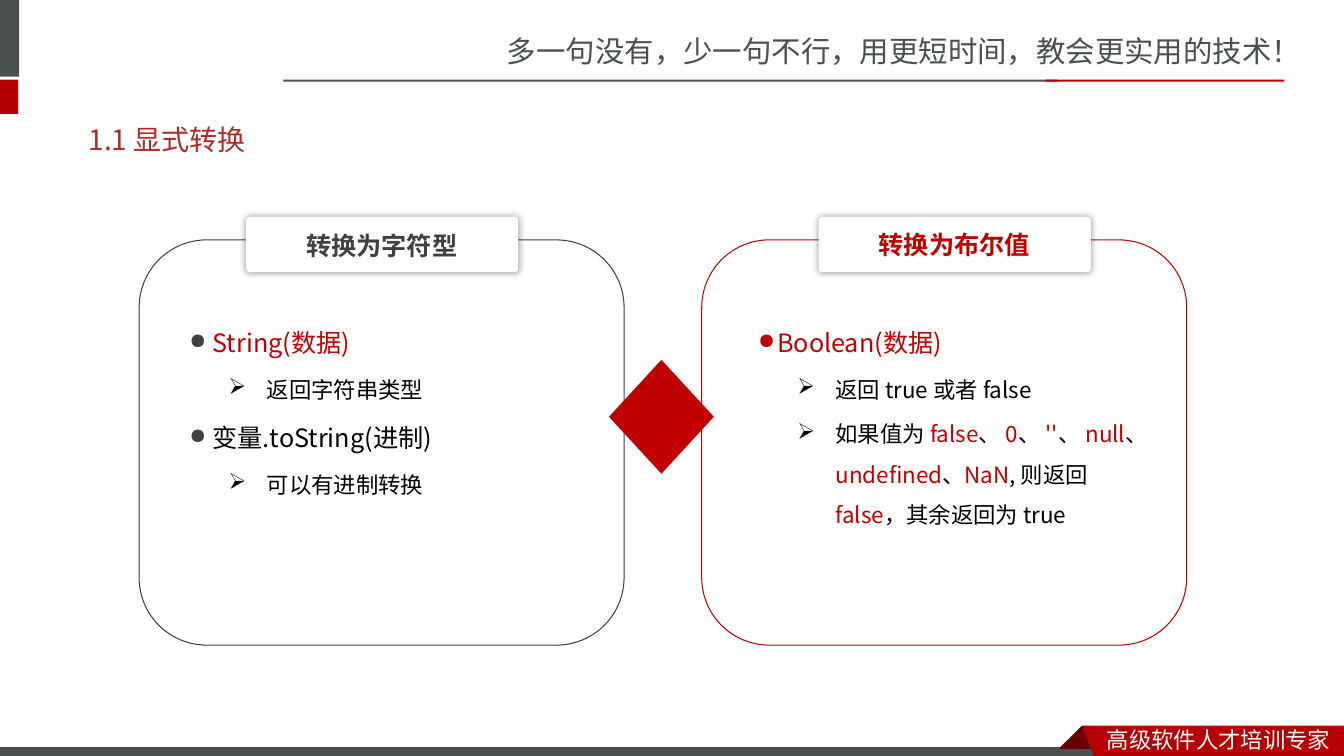
from lxml import etree
from pptx import Presentation
from pptx.dml.color import RGBColor
from pptx.enum.shapes import MSO_SHAPE
from pptx.enum.text import MSO_ANCHOR, PP_ALIGN
from pptx.oxml.ns import qn
from pptx.util import Inches, Pt

COLORS = {"slate": "49504F", "crimson": "B60004", "maroon": "680000", "white": "FFFFFF",
          "title": "AD2A26", "red": "C00000", "gray": "404040", "black": "000000"}
HEAD_FONT, BODY_FONT = "Noto Sans CJK SC", "Noto Sans CJK JP"

prs = Presentation()
prs.slide_width, prs.slide_height = Inches(13.33), Inches(7.5)
slide = prs.slides.add_slide(prs.slide_layouts[6])


def paint(shape, fill=None, line=None):
    shape.shadow.inherit = False
    if fill:
        shape.fill.solid()
        shape.fill.fore_color.rgb = RGBColor.from_string(COLORS[fill])
    else:
        shape.fill.background()
    if line:
        shape.line.color.rgb = RGBColor.from_string(COLORS[line])
        shape.line.width = Pt(0.75)
    else:
        shape.line.fill.background()


def style(font, size, color, name=BODY_FONT, bold=False):
    font.size, font.name, font.bold = Pt(size), name, bold
    font.color.rgb = RGBColor.from_string(COLORS[color])
    # East Asian glyphs take their own typeface entry
    latin = font._element.find(qn("a:latin"))
    east_asian = etree.Element(qn("a:ea"), typeface=name)
    latin.addnext(east_asian)


# Header and footer bars
for left, top, width, height, fill, line in [
    (-0.06, 0, 0.25, 0.76, "slate", None),
    (-0.06, 0.79, 0.24, 0.34, "crimson", None),
    (2.81, 0.79, 7.68, 0.02, "slate", None),
    (10.37, 0.79, 2.37, 0.02, "crimson", None),
    (-0.01, 7.41, 11, 0.12, "slate", "white"),
]:
    bar = slide.shapes.add_shape(MSO_SHAPE.RECTANGLE, Inches(left), Inches(top),
                                 Inches(width), Inches(height))
    paint(bar, fill, line)

# Footer ribbon: folded corner, then banner
for outline, fill in [
    ([(10.73, 7.2), (10.95, 7.42), (10.94, 7.43), (10.52, 7.43), (10.51, 7.42)], "maroon"),
    ([(10.73, 7.2), (13.33, 7.2), (13.33, 7.54), (10.86, 7.53)], "crimson"),
]:
    points = [(Inches(x), Inches(y)) for x, y in outline]
    builder = slide.shapes.build_freeform(*points[0])
    builder.add_line_segments(points[1:], close=True)
    paint(builder.convert_to_shape(), fill)

# Panels with their heading tabs
panels = [(1.38, "gray"), (6.96, "red")]
for left, color in panels:
    panel = slide.shapes.add_shape(MSO_SHAPE.ROUNDED_RECTANGLE, Inches(left), Inches(2.38),
                                   Inches(4.81), Inches(4.02))
    paint(panel, line=color)
for left in (2.44, 8.12):
    tab = slide.shapes.add_shape(MSO_SHAPE.ROUNDED_RECTANGLE, Inches(left), Inches(2.15),
                                 Inches(2.7), Inches(0.55))
    tab.adjustments[0] = 0.07
    paint(tab, "white")
    effects = tab._element.spPr.find(qn("a:effectLst"))
    shadow = etree.SubElement(effects, qn("a:outerShdw"), blurRad=str(Pt(5)), dist="0",
                              dir="0", algn="ctr", rotWithShape="0")
    shadow_color = etree.SubElement(shadow, qn("a:srgbClr"), val=COLORS["black"])
    etree.SubElement(shadow_color, qn("a:alpha"), val="40000")
diamond = slide.shapes.add_shape(MSO_SHAPE.DIAMOND, Inches(6.04), Inches(3.57),
                                 Inches(1.04), Inches(1.13))
paint(diamond, "red")

# Single-line texts: tagline, footer, title, panel headings
for text, left, top, width, height, size, color, font, heading in [
    ("多一句没有，少一句不行，用更短时间，教会更实用的技术！",
     4.93, 0.28, 8.41, 0.47, 21, "slate", HEAD_FONT, False),
    ("高级软件人才培训专家", 10.88, 7.15, 2.45, 0.37, 16, "white", HEAD_FONT, False),
    ("1.1 显式转换", 0.78, 1.1, 11.72, 0.57, 20, "title", BODY_FONT, False),
    ("转换为字符型", 2.54, 2.22, 2.49, 0.43, 18, "gray", BODY_FONT, True),
    ("转换为布尔值", 8.22, 2.21, 2.49, 0.43, 18, "red", BODY_FONT, True),
]:
    box = slide.shapes.add_textbox(Inches(left), Inches(top), Inches(width), Inches(height))
    frame = box.text_frame
    frame.word_wrap = True
    frame.vertical_anchor = MSO_ANCHOR.TOP if font == HEAD_FONT else MSO_ANCHOR.MIDDLE
    paragraph = frame.paragraphs[0]
    paragraph.text = text
    paragraph.alignment = PP_ALIGN.CENTER if heading else PP_ALIGN.LEFT
    style(paragraph.font, size, color, font, heading)

# Bullet lists: (level, runs of text and color)
string_items = [
    (0, [("String(数据)", "red")]),
    (1, [("返回字符串类型", "black")]),
    (0, [("变量.toString(进制)", "black")]),
    (1, [("可以有进制转换", "black")]),
]
boolean_items = [
    (0, [("Boolean(数据)", "red")]),
    (1, [("返回 true 或者 false", "black")]),
    (1, [("如果值为 ", "black"), ("false", "red"), ("、 ", "black"), ("0", "red"),
         ("、 ", "black"), ("''", "red"), ("、 ", "black"), ("null", "red"),
         ("、", "black"), ("undefined", "red"), ("、", "black"), ("NaN", "red"),
         (", 则返回 ", "black"), ("false", "red"), ("，其余返回为 true", "black")]),
]
for left, items, dot_color, dot_indent in [(1.78, string_items, "gray", 0.23),
                                           (7.42, boolean_items, "red", 0.19)]:
    box = slide.shapes.add_textbox(Inches(left), Inches(3.05), Inches(4.1), Inches(3))
    frame = box.text_frame
    frame.word_wrap = True
    for index, (level, runs) in enumerate(items):
        paragraph = frame.add_paragraph() if index else frame.paragraphs[0]
        size = 16 if level else 18
        margin, hanging = (0.77, 0.38) if level else (dot_indent, dot_indent)
        paragraph.level = level
        paragraph.line_spacing = 1.5
        paragraph.space_before = Pt(size * 0.2)
        props = paragraph._p.get_or_add_pPr()
        props.set("marL", str(Inches(margin)))
        props.set("indent", str(-Inches(hanging)))
        if level == 0:
            bullet_color = etree.SubElement(props, qn("a:buClr"))
            etree.SubElement(bullet_color, qn("a:srgbClr"), val=COLORS[dot_color])
            etree.SubElement(props, qn("a:buSzPct"), val="85000")
        etree.SubElement(props, qn("a:buChar"), char="➢" if level else "●")
        style(paragraph.font, size, runs[0][1])
        for text, color in runs:
            run = paragraph.add_run()
            run.text = text
            if color != runs[0][1]:
                run.font.color.rgb = RGBColor.from_string(COLORS[color])

prs.save("out.pptx")
